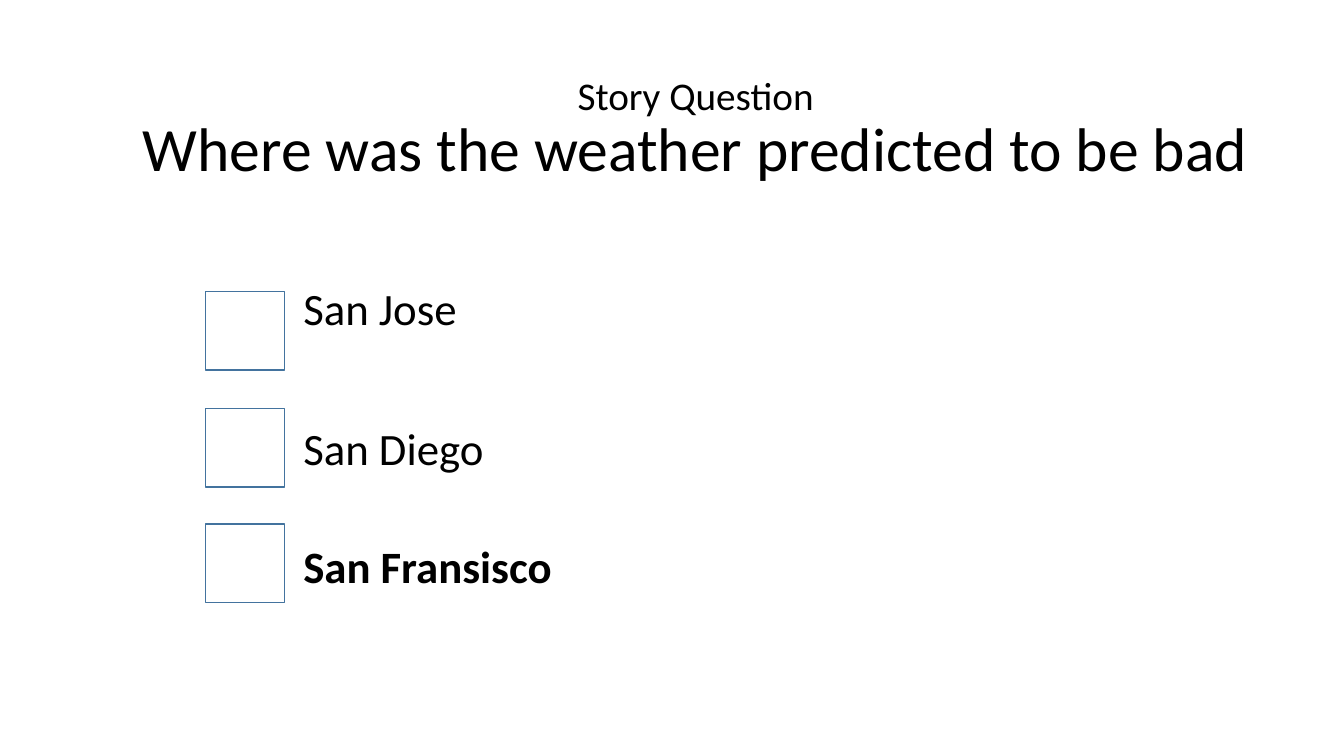
from pptx import Presentation
from pptx.dml.color import RGBColor
from pptx.enum.shapes import MSO_SHAPE
from pptx.enum.text import MSO_ANCHOR, PP_ALIGN
from pptx.util import Inches, Pt

COLORS = {"text": "000000", "box_line": "43739E"}
FONT = "Calibri"

prs = Presentation()
prs.slide_width, prs.slide_height = Inches(13.33), Inches(7.5)
s = prs.slides.add_slide(prs.slide_layouts[6])


def add_text(left, top, width, height):
    tf = s.shapes.add_textbox(Inches(left), Inches(top), Inches(width), Inches(height)).text_frame
    tf.word_wrap = True
    p = tf.paragraphs[0]
    p.font.name = FONT
    p.font.color.rgb = RGBColor.from_string(COLORS["text"])
    return tf, p


# Question
tf, p = add_text(1.15, 0.57, 11.5, 1.45)
tf.vertical_anchor = MSO_ANCHOR.MIDDLE
p.alignment = PP_ALIGN.CENTER
p.line_spacing = 0.9
r = p.add_run()
r.text = "Story Question"
r.font.size = Pt(28)
p.add_line_break()
r = p.add_run()
r.text = "Where was the weather predicted to be bad"
r.font.size = Pt(44)

# Answers with their checkboxes: text, text top, box top, correct
answers = [
    ("San Jose", 2.74, 2.89, False),
    ("San Diego", 4.12, 4.05, False),
    ("San Fransisco", 5.3, 5.2, True),
]
for answer, text_top, box_top, correct in answers:
    tf, p = add_text(2.91, text_top, 9.6, 0.64)
    p.text = answer
    p.font.size = Pt(32)
    p.font.bold = correct

    box = s.shapes.add_shape(MSO_SHAPE.RECTANGLE, Inches(2.04), Inches(box_top),
                             Inches(0.78), Inches(0.78))
    box.shadow.inherit = False
    box.fill.background()
    box.line.color.rgb = RGBColor.from_string(COLORS["box_line"])
    box.line.width = Pt(1)

prs.save("out.pptx")
